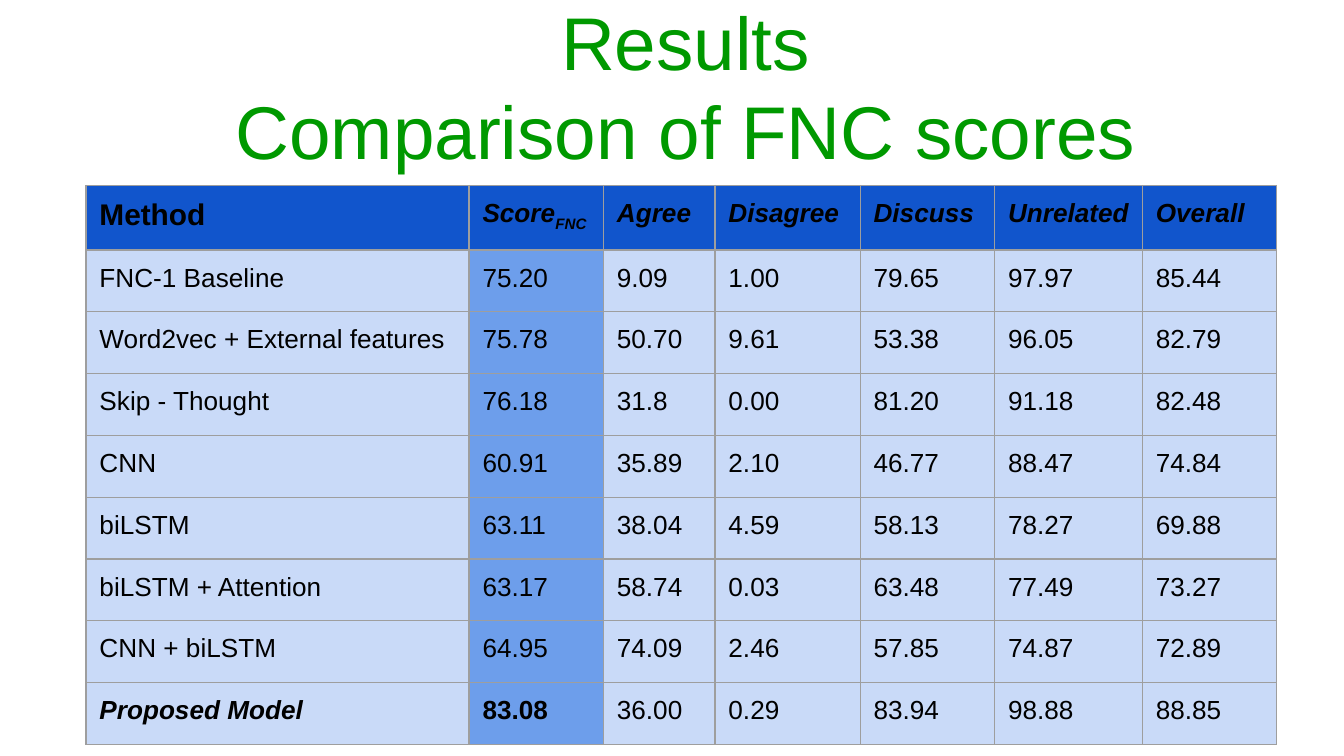
"""Build a slide that compares FNC scores of several methods in a table."""
from lxml import etree
from pptx import Presentation
from pptx.dml.color import RGBColor
from pptx.enum.text import MSO_ANCHOR, PP_ALIGN
from pptx.oxml.ns import qn
from pptx.util import Inches, Pt

MIDDLE = MSO_ANCHOR.MIDDLE
CENTER = PP_ALIGN.CENTER
COLORS = {
    "title": "009900",
    "text": "000000",
    "header": "1155CC",
    "score": "6D9EEB",
    "body": "C9DAF8",
    "border": "9E9E9E",
}
COLUMN_WIDTHS = [2.85, 1, 0.83, 1.08, 1, 1.1, 1]
HEADER_HEIGHT, ROW_HEIGHT = 0.48, 0.46
ROWS = [
    ["Method", "Score", "Agree", "Disagree", "Discuss", "Unrelated", "Overall"],
    ["FNC-1 Baseline", "75.20", "9.09", "1.00", "79.65", "97.97", "85.44"],
    ["Word2vec + External features", "75.78", "50.70", "9.61", "53.38", "96.05", "82.79"],
    ["Skip - Thought", "76.18", "31.8", "0.00", "81.20", "91.18", "82.48"],
    ["CNN", "60.91", "35.89", "2.10", "46.77", "88.47", "74.84"],
    ["biLSTM", "63.11", "38.04", "4.59", "58.13", "78.27", "69.88"],
    ["biLSTM + Attention", "63.17", "58.74", "0.03", "63.48", "77.49", "73.27"],
    ["CNN + biLSTM", "64.95", "74.09", "2.46", "57.85", "74.87", "72.89"],
    ["Proposed Model", "83.08", "36.00", "0.29", "83.94", "98.88", "88.85"],
]


def add_text(para, text, size=14, color="text", bold=False, italic=False, baseline=0):
    span = para.add_run()
    span.text = text
    span.font.name = "Arial"
    span.font.size = Pt(size)
    span.font.bold = bold
    span.font.italic = italic
    span.font.color.rgb = RGBColor.from_string(COLORS[color])
    if baseline:
        span._r.get_or_add_rPr().set("baseline", str(baseline * 1000))


def add_borders(cell):
    properties = cell._tc.get_or_add_tcPr()
    for side in ("a:lnL", "a:lnR", "a:lnT", "a:lnB"):
        line = etree.SubElement(properties, qn(side), w=str(Pt(0.75)))
        fill = etree.SubElement(line, qn("a:solidFill"))
        etree.SubElement(fill, qn("a:srgbClr"), val=COLORS["border"])


deck = Presentation()
deck.slide_width = Inches(10)
deck.slide_height = deck.slide_width * 9 // 16
page = deck.slides.add_slide(deck.slide_layouts[6])

title = page.shapes.add_textbox(
    int(deck.slide_width * 0.05), Inches(0.1), int(deck.slide_width * 0.92), Inches(1.07)
).text_frame
title.word_wrap = True
title.vertical_anchor = MIDDLE
for index, text in enumerate(["Results", "Comparison of FNC scores"]):
    para = title.add_paragraph() if index else title.paragraphs[0]
    para.alignment = CENTER
    add_text(para, text, size=40, color="title")

table = page.shapes.add_table(
    len(ROWS), len(COLUMN_WIDTHS), Inches(0.64), Inches(1.38),
    Inches(sum(COLUMN_WIDTHS)), Inches(HEADER_HEIGHT + ROW_HEIGHT * (len(ROWS) - 1)),
).table
table.first_row = table.horz_banding = False
for column, width in zip(table.columns, COLUMN_WIDTHS):
    column.width = Inches(width)

for row, values in enumerate(ROWS):
    is_header, is_last = row == 0, row == len(ROWS) - 1
    table.rows[row].height = Inches(HEADER_HEIGHT if is_header else ROW_HEIGHT)
    for column, value in enumerate(values):
        cell = table.cell(row, column)
        cell.margin_left = cell.margin_right = Inches(0.1)
        cell.margin_top = cell.margin_bottom = Inches(0.1)
        add_borders(cell)
        fill_name = "header" if is_header else "score" if column == 1 else "body"
        cell.fill.solid()
        cell.fill.fore_color.rgb = RGBColor.from_string(COLORS[fill_name])
        para = cell.text_frame.paragraphs[0]
        add_text(
            para, value,
            size=16 if is_header and column == 0 else 14,
            bold=is_header or (is_last and column < 2),
            italic=(is_header and column > 0) or (is_last and column == 0),
        )
        if value == "Score":
            add_text(para, "FNC", bold=True, italic=True, baseline=-25)

deck.save("out.pptx")
